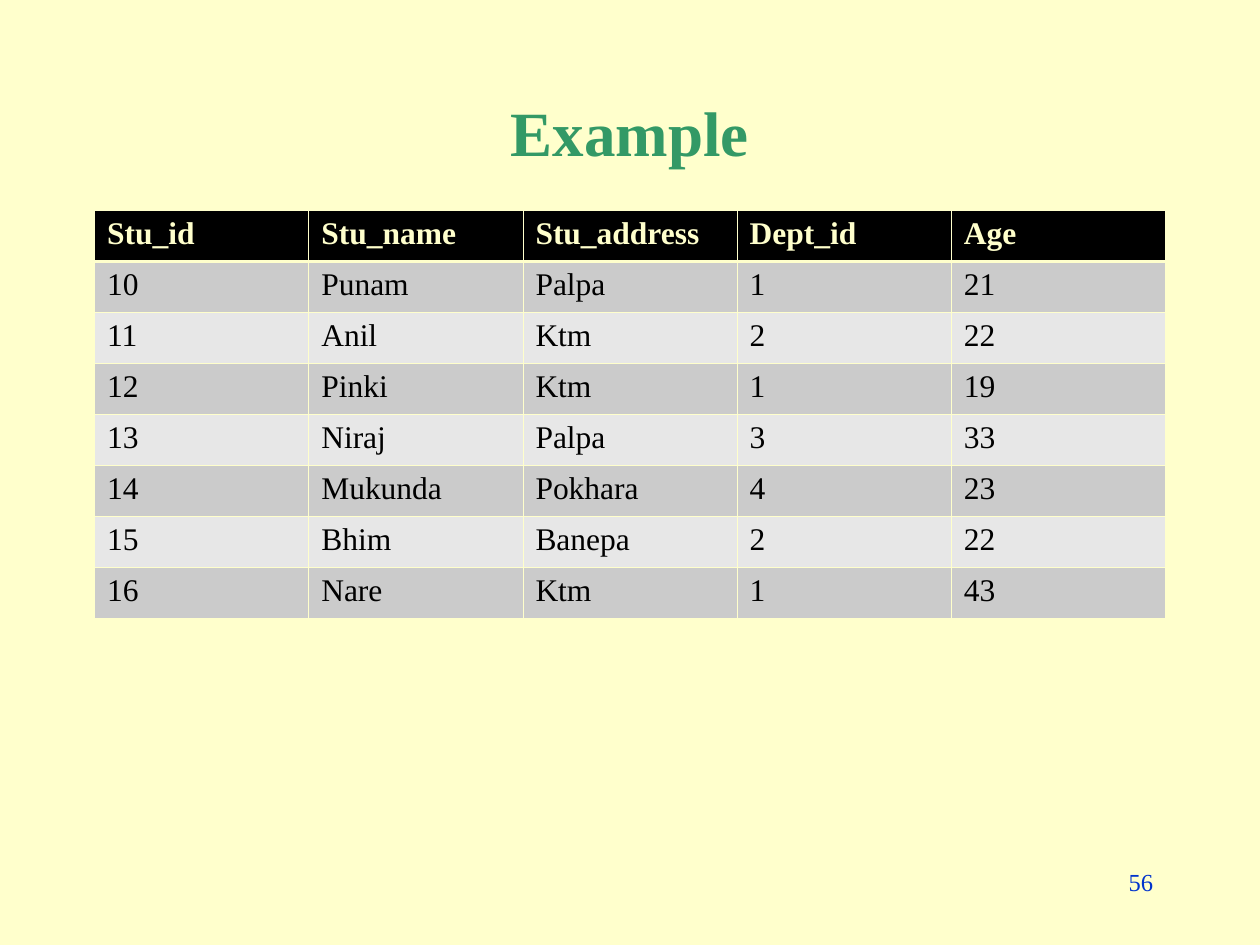
from pptx import Presentation
from pptx.dml.color import RGBColor
from pptx.enum.text import MSO_ANCHOR, PP_ALIGN
from pptx.oxml import parse_xml
from pptx.oxml.ns import nsdecls
from pptx.util import Inches, Pt

CREAM = "FFFFCC"


def color(code):
    return RGBColor.from_string(code)


def style(frame, size, code, bold=False, align=PP_ALIGN.LEFT):
    line = frame.paragraphs[0]
    line.alignment = align
    font = line.runs[0].font
    font.name = "Times New Roman"
    font.size = Pt(size)
    font.bold = bold
    font.color.rgb = color(code)


deck = Presentation()
deck.slide_width = Inches(10)
deck.slide_height = Inches(7.5)
slide = deck.slides.add_slide(deck.slide_layouts[6])
slide.background.fill.solid()
slide.background.fill.fore_color.rgb = color(CREAM)

title = slide.shapes.add_textbox(Inches(0.75), Inches(0.67), Inches(8.5), Inches(0.75)).text_frame
title.word_wrap = True
title.vertical_anchor = MSO_ANCHOR.MIDDLE
title.text = "Example"
style(title, 36, "339966", True, PP_ALIGN.CENTER)

number = slide.shapes.add_textbox(Inches(7.17), Inches(6.83), Inches(2.08), Inches(0.5)).text_frame
number.word_wrap = True
number.text = "56"
style(number, 14, "0033CC", align=PP_ALIGN.RIGHT)

rows = [
    ("Stu_id", "Stu_name", "Stu_address", "Dept_id", "Age"),
    ("10", "Punam", "Palpa", "1", "21"),
    ("11", "Anil", "Ktm", "2", "22"),
    ("12", "Pinki", "Ktm", "1", "19"),
    ("13", "Niraj", "Palpa", "3", "33"),
    ("14", "Mukunda", "Pokhara", "4", "23"),
    ("15", "Bhim", "Banepa", "2", "22"),
    ("16", "Nare", "Ktm", "1", "43"),
]
table = slide.shapes.add_table(
    len(rows), len(rows[0]), Inches(0.75), Inches(1.67), Inches(8.5), Inches(3.24)
).table

for r, row in enumerate(rows):
    head = r == 0
    fill = "000000" if head else ("E7E7E7", "CBCBCB")[r % 2]
    for c, text in enumerate(row):
        cell = table.cell(r, c)
        cell.text_frame.text = text
        style(cell.text_frame, 18, CREAM if head else "000000", head)
        props = cell._tc.get_or_add_tcPr()
        for side in "LRTB":
            thick = (r, side) in [(0, "B"), (1, "T")]
            width = Pt(1.47 if thick else 0.45)
            props.append(parse_xml(
                f'<a:ln{side} {nsdecls("a")} w="{width}"><a:solidFill>'
                f'<a:srgbClr val="{CREAM}"/></a:solidFill></a:ln{side}>'
            ))
        cell.fill.solid()
        cell.fill.fore_color.rgb = color(fill)

deck.save("out.pptx")
